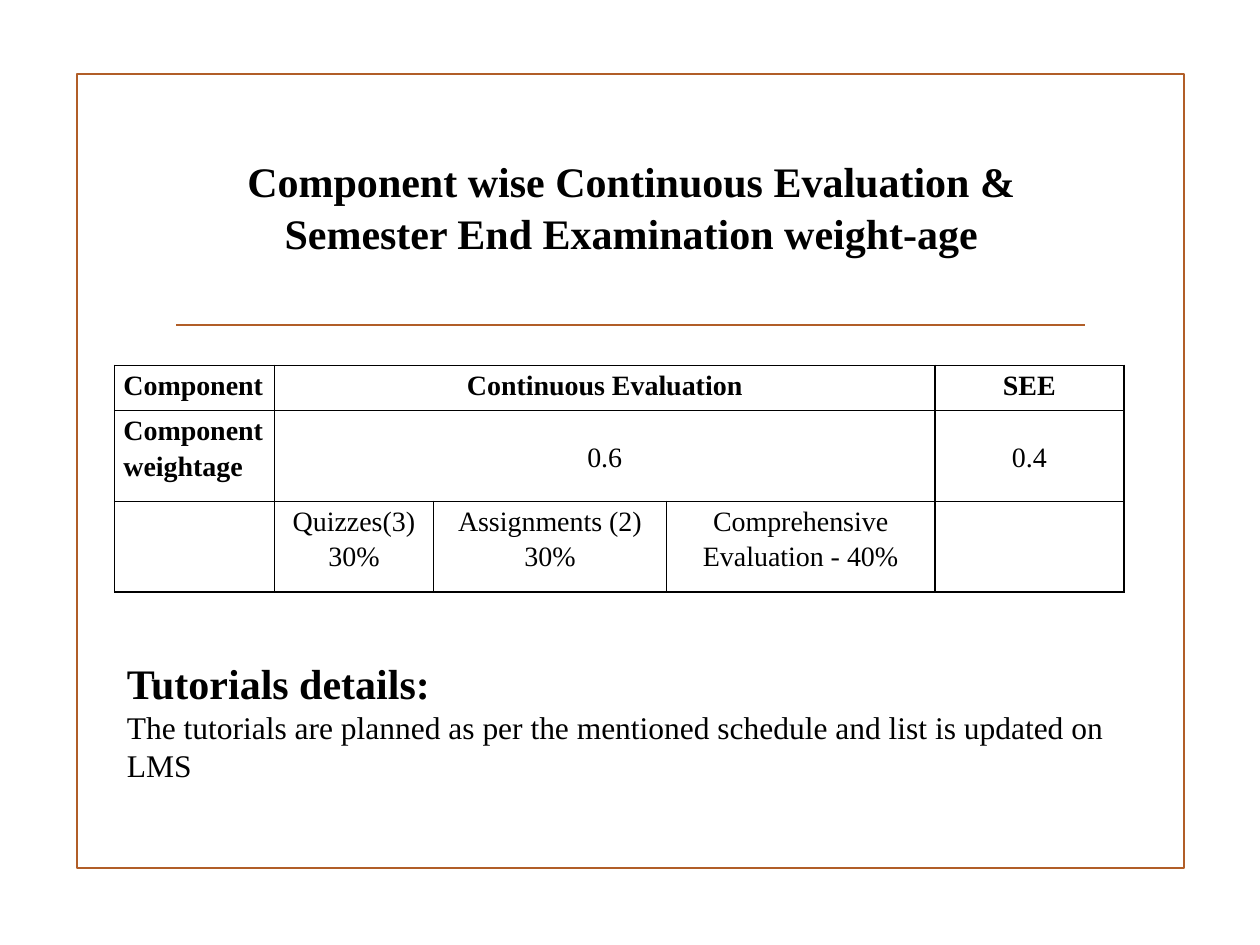
from dataclasses import dataclass

from lxml.etree import SubElement
from pptx import Presentation
from pptx.dml.color import RGBColor
from pptx.enum.shapes import MSO_CONNECTOR, MSO_SHAPE
from pptx.enum.text import MSO_ANCHOR, PP_ALIGN
from pptx.oxml.ns import qn
from pptx.util import Inches, Pt


@dataclass(frozen=True)
class Theme:
    font: str = "Times New Roman"
    text: RGBColor = RGBColor(0, 0, 0)
    accent: RGBColor = RGBColor(0xB1, 0x5E, 0x28)
    heading_size: Pt = Pt(24)
    body_size: Pt = Pt(18)
    table_size: Pt = Pt(16)
    accent_width: Pt = Pt(1.25)
    border_width: Pt = Pt(1)


THEME = Theme()
COLUMN_WIDTHS = (1.27, 1.26, 1.85, 2.13, 1.5)
ROW_HEIGHTS = (0.36, 0.72, 0.72)
# Row, column, lines, bold, alignment, anchor
LEFT, CENTER = PP_ALIGN.LEFT, PP_ALIGN.CENTER
TOP, MIDDLE = MSO_ANCHOR.TOP, MSO_ANCHOR.MIDDLE
WEIGHTAGE = (
    (0, 0, ("Component",), True, LEFT, TOP),
    (0, 1, ("Continuous Evaluation",), True, CENTER, TOP),
    (0, 4, ("SEE",), True, CENTER, TOP),
    (1, 0, ("Component weightage",), True, LEFT, TOP),
    (1, 1, ("0.6",), False, CENTER, MIDDLE),
    (1, 4, ("0.4",), False, CENTER, MIDDLE),
    (2, 1, ("Quizzes(3)", "30%"), False, CENTER, TOP),
    (2, 2, ("Assignments (2)", "30%"), False, CENTER, TOP),
    (2, 3, ("Comprehensive Evaluation - 40%",), False, CENTER, TOP),
)


def set_all(target, values):
    for attribute, value in values.items():
        setattr(target, attribute, value)


def write_paragraphs(frame, paragraphs, align=LEFT, spacing=1.0):
    """Fill a text frame from (text, size, bold) triples."""
    for index, (text, size, bold) in enumerate(paragraphs):
        paragraph = frame.paragraphs[0] if index == 0 else frame.add_paragraph()
        set_all(paragraph, {"alignment": align, "line_spacing": spacing})
        run = paragraph.add_run()
        run.text = text
        set_all(run.font, {"name": THEME.font, "size": size, "bold": bold})
        run.font.color.rgb = THEME.text


def add_text(slide, box, paragraphs, anchor=TOP, **layout):
    frame = slide.shapes.add_textbox(*map(Inches, box)).text_frame
    set_all(frame, {"word_wrap": True, "vertical_anchor": anchor})
    write_paragraphs(frame, paragraphs, **layout)


def style_line(line):
    line.color.rgb = THEME.accent
    line.width = THEME.accent_width


def add_frame(slide, box):
    frame = slide.shapes.add_shape(MSO_SHAPE.RECTANGLE, *map(Inches, box))
    frame.shadow.inherit = False
    frame.fill.background()
    style_line(frame.line)


def add_rule(slide, start, end):
    rule = slide.shapes.add_connector(
        MSO_CONNECTOR.STRAIGHT, *map(Inches, start + end))
    style_line(rule.line)
    SubElement(rule.element.spPr, qn("a:effectLst"))


def add_borders(cell):
    properties = cell._tc.get_or_add_tcPr()
    for side in ("lnL", "lnR", "lnT", "lnB"):
        border = SubElement(properties, qn(f"a:{side}"), w=str(THEME.border_width))
        fill = SubElement(border, qn("a:solidFill"))
        SubElement(fill, qn("a:srgbClr"), val=str(THEME.text))


def add_weightage_table(slide, left, top):
    table = slide.shapes.add_table(
        len(ROW_HEIGHTS), len(COLUMN_WIDTHS), Inches(left), Inches(top),
        Inches(sum(COLUMN_WIDTHS)), Inches(sum(ROW_HEIGHTS))).table
    set_all(table, {"first_row": False, "horz_banding": False})
    for column, width in zip(table.columns, COLUMN_WIDTHS):
        column.width = Inches(width)
    for row, height in zip(table.rows, ROW_HEIGHTS):
        row.height = Inches(height)

    # Plain bordered grid
    for cell in table.iter_cells():
        set_all(cell, {"margin_left": Inches(0.07), "margin_right": Inches(0.07),
                       "margin_top": 0, "margin_bottom": 0})
        add_borders(cell)
        cell.fill.background()

    # Continuous evaluation spans its three parts
    for row in (0, 1):
        table.cell(row, 1).merge(table.cell(row, 3))

    for row, column, lines, bold, align, anchor in WEIGHTAGE:
        cell = table.cell(row, column)
        cell.vertical_anchor = anchor
        write_paragraphs(cell.text_frame,
                         [(line, THEME.table_size, bold) for line in lines],
                         align, spacing=1.15)


def main():
    deck = Presentation()
    set_all(deck, {"slide_width": Inches(10), "slide_height": Inches(7.5)})
    slide = deck.slides.add_slide(deck.slide_layouts[6])

    # Page frame and title rule
    add_frame(slide, (0.61, 0.59, 8.79, 6.3))
    add_rule(slide, (1.4, 2.58), (8.61, 2.58))

    # Title
    title = "Component wise Continuous Evaluation & Semester End Examination weight-age"
    add_text(slide, (1.29, 0.92, 7.44, 1.43), [(title, THEME.heading_size, True)],
             anchor=MIDDLE, align=CENTER, spacing=1.04)

    # Evaluation weightage
    add_weightage_table(slide, 0.91, 2.9)

    # Tutorials
    add_text(slide, (0.91, 5.17, 8.36, 1.62), [
        ("Tutorials details:", THEME.heading_size, True),
        ("The tutorials are planned as per the mentioned schedule and list is "
         "updated on LMS", THEME.body_size, False),
    ])

    deck.save("out.pptx")


if __name__ == "__main__":
    main()
